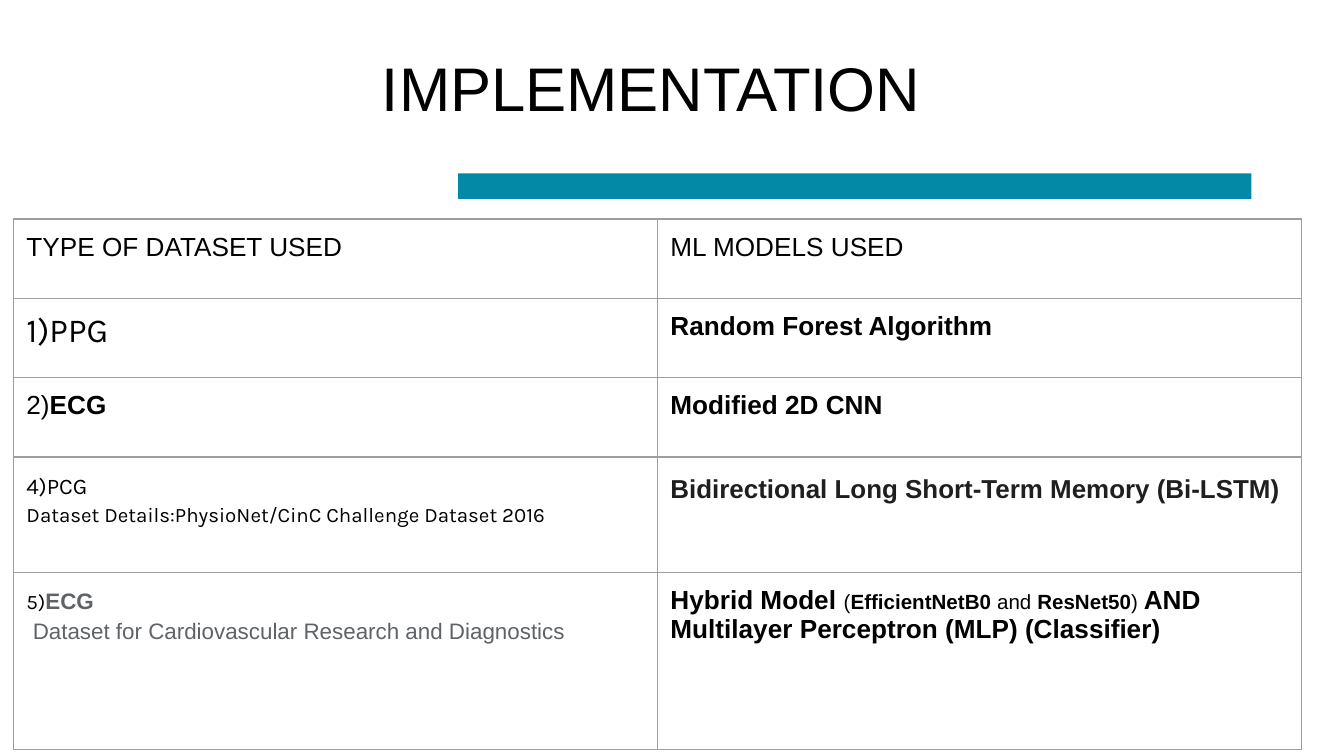
from lxml import etree
from pptx import Presentation
from pptx.dml.color import RGBColor
from pptx.enum.shapes import MSO_SHAPE as Shape
from pptx.enum.text import MSO_ANCHOR as Anchor
from pptx.oxml.ns import qn
from pptx.util import Cm, Pt

BLACK, TEAL, GREY, CHARCOAL, RULE = "000000", "0388A6", "5F6368", "1F1F1F", "9E9E9E"
ROW_HEIGHTS = [1.5, 1.5, 1.5, 2.18, 3.35]


def rgb(hex_colour):
    return RGBColor.from_string(hex_colour)


def run(text, size=14, bold=False, font="Arial", colour=BLACK):
    return text, size, bold, font, colour


def para(*runs, spacing=None, indent=0):
    return runs, spacing, indent


# Each row: dataset cell, model cell; each cell is a list of paragraphs
ROWS = [
    ([para(run("TYPE OF DATASET USED"))],
     [para(run("ML MODELS USED"))]),
    ([para(run("1)PPG", 18, font="Karla"))],
     [para(run("Random Forest Algorithm", bold=True))]),
    ([para(run("2)"), run("ECG", bold=True))],
     [para(run("Modified 2D CNN", bold=True))]),
    ([para(run("4)PCG", 12, font="Karla"), spacing=1.15),
      para(run("Dataset Details:PhysioNet/CinC Challenge Dataset 2016", 11, font="Karla"),
           spacing=1.15)],
     [para(run("Bidirectional Long Short-Term Memory (Bi-LSTM)", 13.9, True, colour=CHARCOAL),
           spacing=1.15)]),
    ([para(run("5)", 11, font="Karla"), run("ECG", 12, True, colour=GREY), spacing=1.15),
      para(run("Dataset for Cardiovascular Research and Diagnostics", 12, colour=GREY),
           spacing=1.15, indent=0.12)],
     [para(run("Hybrid Model ", bold=True), run("(", 11), run("EfficientNetB0", 11, True),
           run(" and ", 11), run("ResNet50", 11, True), run(") ", 11),
           run("AND Multilayer Perceptron (MLP) (Classifier)", bold=True))]),
]


def write(frame, paragraphs):
    frame.word_wrap = True
    for index, (runs, spacing, indent) in enumerate(paragraphs):
        line = frame.paragraphs[0] if index == 0 else frame.add_paragraph()
        if indent:
            line._p.get_or_add_pPr().set("marL", str(Cm(indent)))
        if spacing:
            line.line_spacing = spacing
        for text, size, bold, font, colour in runs:
            piece = line.add_run()
            piece.text = text
            piece.font.size, piece.font.bold, piece.font.name = Pt(size), bold, font
            piece.font.color.rgb = rgb(colour)


def add_heading(slide, left, top, width, height):
    heading = slide.shapes.add_textbox(Cm(left), Cm(top), Cm(width), Cm(height))
    frame = heading.text_frame
    frame.vertical_anchor = Anchor.MIDDLE
    frame.margin_left = frame.margin_right = Cm(0.18)
    frame.margin_top = frame.margin_bottom = Cm(0.1)
    write(frame, [para(run("IMPLEMENTATION", 33), spacing=0.9)])


def add_accent_bar(slide, left, top, width, height):
    bar = slide.shapes.add_shape(Shape.RECTANGLE, Cm(left), Cm(top), Cm(width), Cm(height))
    bar.shadow.inherit = False
    bar.fill.solid()
    bar.fill.fore_color.rgb = rgb(TEAL)
    bar.line.fill.background()


def outline(cell):
    # Border lines must come before the fill in the cell properties
    properties = cell._tc.get_or_add_tcPr()
    for position, side in enumerate(("lnL", "lnR", "lnT", "lnB")):
        border = etree.Element(qn(f"a:{side}"), w=str(Pt(0.75)))
        fill = etree.SubElement(border, qn("a:solidFill"))
        etree.SubElement(fill, qn("a:srgbClr"), val=RULE)
        properties.insert(position, border)


def add_model_table(slide, left, top, width, height):
    table = slide.shapes.add_table(len(ROWS), 2, Cm(left), Cm(top), Cm(width), Cm(height)).table
    table.first_row = table.horz_banding = False
    for column in table.columns:
        column.width = Cm(width / 2)
    for row, row_height, contents in zip(table.rows, ROW_HEIGHTS, ROWS):
        row.height = Cm(row_height)
        for cell, paragraphs in zip(row.cells, contents):
            cell.margin_left = cell.margin_right = Cm(0.25)
            cell.margin_top = cell.margin_bottom = Cm(0.25)
            cell.fill.background()
            outline(cell)
            write(cell.text_frame, paragraphs)


def main():
    deck = Presentation()
    deck.slide_width, deck.slide_height = Cm(25.4), Cm(14.29)
    slide = deck.slides.add_slide(deck.slide_layouts[6])
    add_accent_bar(slide, 8.66, 3.28, 14.99, 0.48)
    add_heading(slide, 7.04, 0.33, 16.46, 2.82)
    add_model_table(slide, 0.25, 4.14, 24.34, sum(ROW_HEIGHTS))
    deck.save("out.pptx")


if __name__ == "__main__":
    main()
